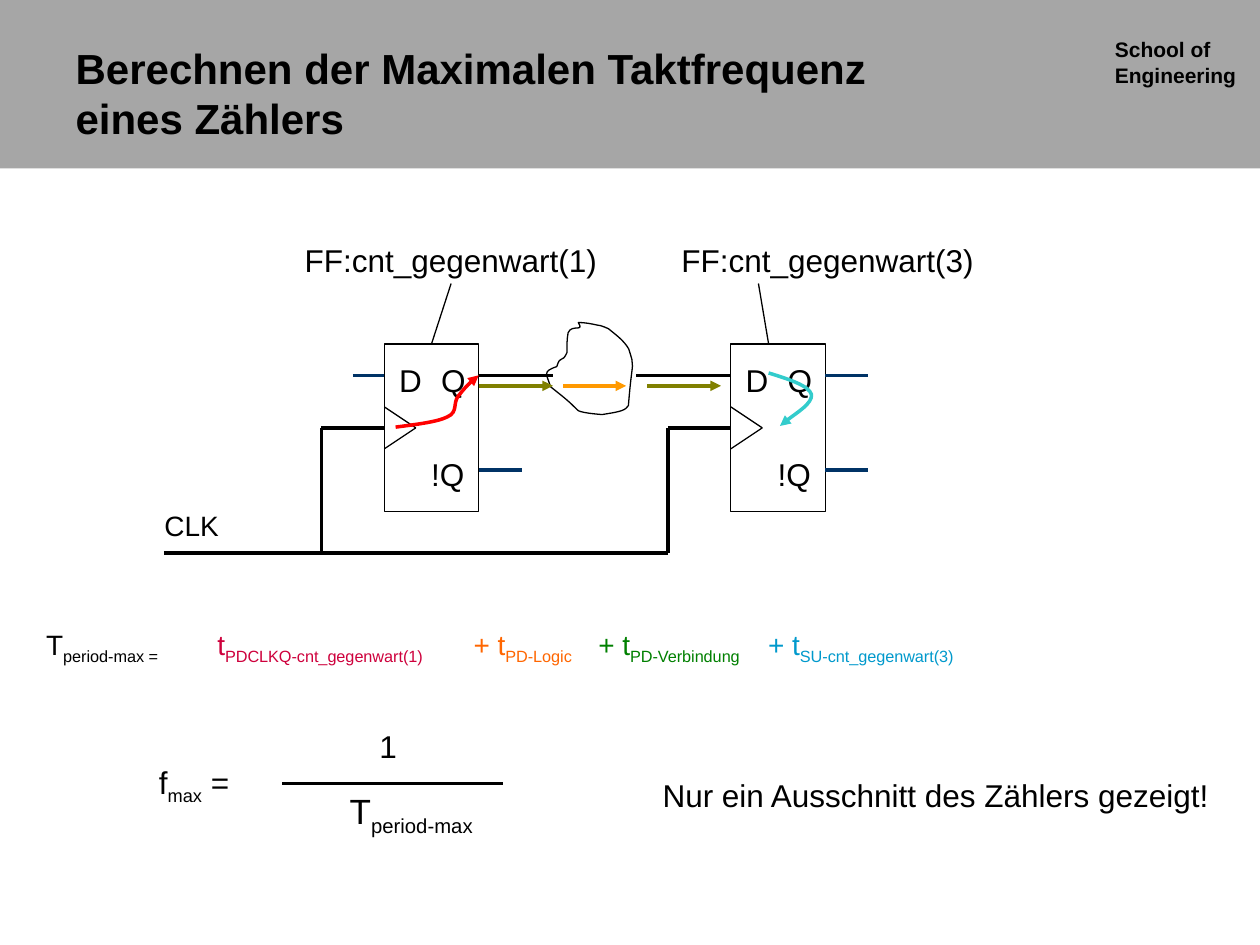
from lxml.etree import SubElement
from pptx import Presentation
from pptx.dml.color import RGBColor
from pptx.enum.shapes import MSO_CONNECTOR, MSO_SHAPE
from pptx.enum.text import MSO_ANCHOR, PP_ALIGN
from pptx.oxml.ns import qn
from pptx.util import Pt

BLACK = RGBColor(0x00, 0x00, 0x00)
BAND_GRAY = RGBColor(0xA6, 0xA6, 0xA6)
NAVY = RGBColor(0x00, 0x33, 0x66)
RED = RGBColor(0xFF, 0x00, 0x00)
AMBER = RGBColor(0xFF, 0x99, 0x00)
OLIVE = RGBColor(0x80, 0x80, 0x00)
TURQUOISE = RGBColor(0x33, 0xCC, 0xCC)
CRIMSON = RGBColor(0xCE, 0x00, 0x3C)
ORANGE = RGBColor(0xFF, 0x66, 0x00)
GREEN = RGBColor(0x00, 0x80, 0x00)
BLUE = RGBColor(0x00, 0x99, 0xCC)

THIN, THICK = 0.75, 2
LEFT, CENTER = PP_ALIGN.LEFT, PP_ALIGN.CENTER
TOP_SIDE, LEFT_SIDE = 0, 1

# Flip-flop geometry; offsets are measured from its top left corner
FF_LEFTS = (219.6, 417.6)
FF_TOP, FF_WIDTH, FF_HEIGHT = 196.5, 54, 96
DATA_Y, INVERTED_Y = FF_TOP + 18, FF_TOP + 72
CLOCK_Y, BUS_Y = FF_TOP + FF_HEIGHT / 2, 316
ARROW_Y = 220.5
WIRE_LENGTH = 24.5

# Start point, then three points for each Bézier curve
LOGIC_CLOUD = [
    (330.5, 184.3),
    (334.1, 184.3), (337.7, 185), (341.3, 185.8),
    (343.4, 185.8), (347.8, 187.9), (347.8, 187.9),
    (352.1, 191.5), (356.4, 194.4), (359.3, 199.4),
    (362.9, 211), (361.4, 203.8), (359.3, 229.7),
    (359.3, 231.1), (359.3, 232.6), (357.8, 233.3),
    (355.7, 235.4), (347.8, 236.2), (344.2, 236.9),
    (344.2, 236.9), (333.4, 236.2), (330.5, 234.7),
    (329.8, 234), (329, 233.3), (328.3, 232.6),
    (324, 228.2), (319, 224.6), (314.6, 221),
    (312.5, 213.8), (309.6, 212.4), (318.2, 209.5),
    (320.4, 202.3), (321.1, 208.1), (324, 201.6),
    (324, 197.3), (324, 193.7), (324.7, 190.1),
    (326.9, 185), (334.1, 190.1), (330.5, 184.3),
]
CLOCK_TO_Q = [
    (226.1, 244.1),
    (237.6, 242.6), (249.8, 241.2), (255.6, 238.3),
    (262.1, 235.4), (258.5, 230.4), (262.1, 226.1),
    (265, 222.5), (268.6, 218.2), (273.6, 214.5),
]
SETUP = [
    (439.2, 213.1),
    (450.7, 216.7), (462.2, 220.3), (463.7, 225.4),
    (464.4, 230.4), (448.6, 240.5), (445.7, 243.4),
]


class SlideBuilder:
    def __init__(self, slide, font_name="Arial"):
        self.slide = slide
        self.shapes = slide.shapes
        self.font_name = font_name

    def style_font(self, font, size, color=BLACK, bold=False):
        font.name, font.size, font.bold = self.font_name, Pt(size), bold
        font.color.rgb = color

    def title(self, text, left, top, width, height):
        title = self.shapes.title
        title.left, title.top, title.width, title.height = map(Pt, (left, top, width, height))
        text_frame = title.text_frame
        text_frame.text = text
        text_frame.vertical_anchor = MSO_ANCHOR.MIDDLE
        paragraph = text_frame.paragraphs[0]
        paragraph.alignment = LEFT
        self.style_font(paragraph.runs[0].font, 24, bold=True)

    def text(self, text, left, top, width, height, size=18, color=BLACK,
             align=CENTER, bold=False, wrap=True, subscript="", suffix=""):
        """Add one paragraph: text, then a subscript and a suffix if given."""
        box = self.shapes.add_textbox(*map(Pt, (left, top, width, height)))
        box.text_frame.word_wrap = wrap
        paragraph = box.text_frame.paragraphs[0]
        paragraph.text = text
        paragraph.alignment = align
        for part in filter(None, (subscript, suffix)):
            run = paragraph.add_run()
            run.text = part
            if part == subscript:
                run.font._element.set("baseline", "-25000")
        for run in paragraph.runs:
            self.style_font(run.font, size, color, bold)
        for line_break in paragraph._p.iter(qn("a:br")):
            SubElement(line_break, qn("a:rPr"), sz=str(size * 100))
        return paragraph

    def rectangle(self, left, top, width, height, fill=None):
        """Add a filled rectangle, or a thin black frame without fill."""
        shape = self.shapes.add_shape(MSO_SHAPE.RECTANGLE, *map(Pt, (left, top, width, height)))
        shape.shadow.inherit = False
        if fill is None:
            shape.fill.background()
            self.style_line(shape, BLACK, THIN)
        else:
            shape.fill.solid()
            shape.fill.fore_color.rgb = fill
            shape.line.fill.background()
        return shape

    def style_line(self, shape, color, weight, arrow=False):
        shape.line.color.rgb = color
        shape.line.width = Pt(weight)
        if arrow:
            SubElement(shape.line._get_or_add_ln(), qn("a:tailEnd"), type="triangle")

    def line(self, x1, y1, x2, y2, color=BLACK, weight=THICK, arrow=False):
        connector = self.shapes.add_connector(MSO_CONNECTOR.STRAIGHT, *map(Pt, (x1, y1, x2, y2)))
        self.style_line(connector, color, weight, arrow)
        SubElement(connector._element.spPr, qn("a:effectLst"))
        return connector

    def curve(self, points, color, weight, closed=False):
        """Draw Bézier curves; an open one ends in an arrowhead."""
        start, *others = [(Pt(x), Pt(y)) for x, y in points]
        builder = self.shapes.build_freeform(*start, scale=1.0)
        builder.add_line_segments(others, close=closed)
        shape = builder.convert_to_shape()
        self.bend(list(shape._element.iter(qn("a:lnTo"))))
        shape.shadow.inherit = False
        shape.fill.background()
        self.style_line(shape, color, weight, arrow=not closed)

    def bend(self, segments):
        """Turn each three straight segments into one cubic curve."""
        for index in range(0, len(segments), 3):
            triple = segments[index:index + 3]
            outline = triple[0].getparent()
            cubic = outline.makeelement(qn("a:cubicBezTo"))
            outline.insert(outline.index(triple[0]), cubic)
            for segment in triple:
                cubic.append(segment[0])
                outline.remove(segment)

    def flip_flop(self, left):
        frame = self.rectangle(left, FF_TOP, FF_WIDTH, FF_HEIGHT)
        for label, dx, dy, width in (("Q", 24.5, 6, 30), ("D", 0, 6, 30), ("!Q", 12.2, 60, 48)):
            self.text(label, left + dx, FF_TOP + dy, width, 29)
        for dy in (-12, 12):
            self.line(left, CLOCK_Y + dy, left + 18, CLOCK_Y, weight=THIN)
        right = left + FF_WIDTH
        self.line(right, INVERTED_Y, right + WIRE_LENGTH, INVERTED_Y, NAVY)
        return frame

    def clock_input(self, frame, left):
        corner = left - 36
        wire = self.line(corner, CLOCK_Y, left, CLOCK_Y)
        wire.end_connect(frame, LEFT_SIDE)
        self.line(corner, CLOCK_Y, corner, BUS_Y)


def main():
    presentation = Presentation()
    presentation.slide_width, presentation.slide_height = Pt(720), Pt(540)
    slide = presentation.slides.add_slide(presentation.slide_layouts[5])
    builder = SlideBuilder(slide)

    band = builder.rectangle(0, 0, 720, 96.3, BAND_GRAY)
    slide.shapes._spTree.insert(2, band._element)
    builder.title("Berechnen der Maximalen Taktfrequenz eines Zählers", 36, 21.6, 492.5, 62.6)
    school = builder.text("School of\vEngineering", 630, 16.6, 90, 36, 12, align=LEFT, bold=True)
    school.line_spacing = 1.05

    # Circuit
    first_left, second_left = FF_LEFTS
    first_right, second_right = (left + FF_WIDTH for left in FF_LEFTS)
    frames = [builder.flip_flop(left) for left in FF_LEFTS]
    builder.line(first_left - 18, DATA_Y, first_left, DATA_Y, NAVY)
    builder.line(second_right, DATA_Y, second_right + WIRE_LENGTH, DATA_Y, NAVY)
    builder.curve(LOGIC_CLOUD, BLACK, THIN, closed=True)
    builder.line(first_right, DATA_Y, 316, DATA_Y)
    builder.line(363.6, DATA_Y, second_left, DATA_Y)
    for frame, left in zip(frames, FF_LEFTS):
        builder.clock_input(frame, left)
    builder.line(93.6, BUS_Y, second_left - 36, BUS_Y)
    builder.text("CLK", 70.6, 287.3, 77.8, 26.6, 16)

    # Delays along the signal route
    builder.curve(CLOCK_TO_Q, RED, THICK)
    builder.curve(SETUP, TURQUOISE, THICK)
    for start, end, color in ((first_right, 316, OLIVE), (321.8, 357.8, AMBER), (370, 412, OLIVE)):
        builder.line(start, ARROW_Y, end, ARROW_Y, color, arrow=True)

    # Period as the sum of the delays
    for left, width, color, symbol, subscript in (
        (13, 90.7, BLACK, "T", "period-max ="),
        (98, 169.9, CRIMSON, "t", "PDCLKQ-cnt_gegenwart(1)"),
        (250.8, 95.8, ORANGE, "+ t", "PD-Logic"),
        (322.2, 120.2, GREEN, "+ t", "PD-Verbindung"),
        (409.8, 164.2, BLUE, "+ t", "SU-cnt_gegenwart(3)"),
    ):
        builder.text(symbol, left, 355, width, 29.5, 16, color, subscript=subscript)

    # Maximum frequency as a fraction
    builder.text("f", 81, 432.7, 59.8, 31.7, wrap=False, subscript="max", suffix=" =")
    builder.text("1", 209.5, 411.8, 24.5, 29, wrap=False)
    builder.line(161.3, 447.8, 287.3, 447.8)
    builder.text("T", 172, 447.8, 126, 34.6, 20, subscript="period-max")

    # Labels
    for label, left in (("FF:cnt_gegenwart(1)", 167), ("FF:cnt_gegenwart(3)", 382.3)):
        builder.text(label, left, 133.9, 181.4, 29, align=LEFT, wrap=False)
    leader = builder.line(257.8, 162, 246.6, FF_TOP, weight=THIN)
    leader.end_connect(frames[0], TOP_SIDE)
    builder.line(433.4, 162, 439.2, FF_TOP, weight=THIN)
    builder.text("Nur ein Ausschnitt des Zählers gezeigt!", 371.5, 439.9, 327.6, 29,
                 align=LEFT, wrap=False)

    presentation.save("out.pptx")


if __name__ == "__main__":
    main()
